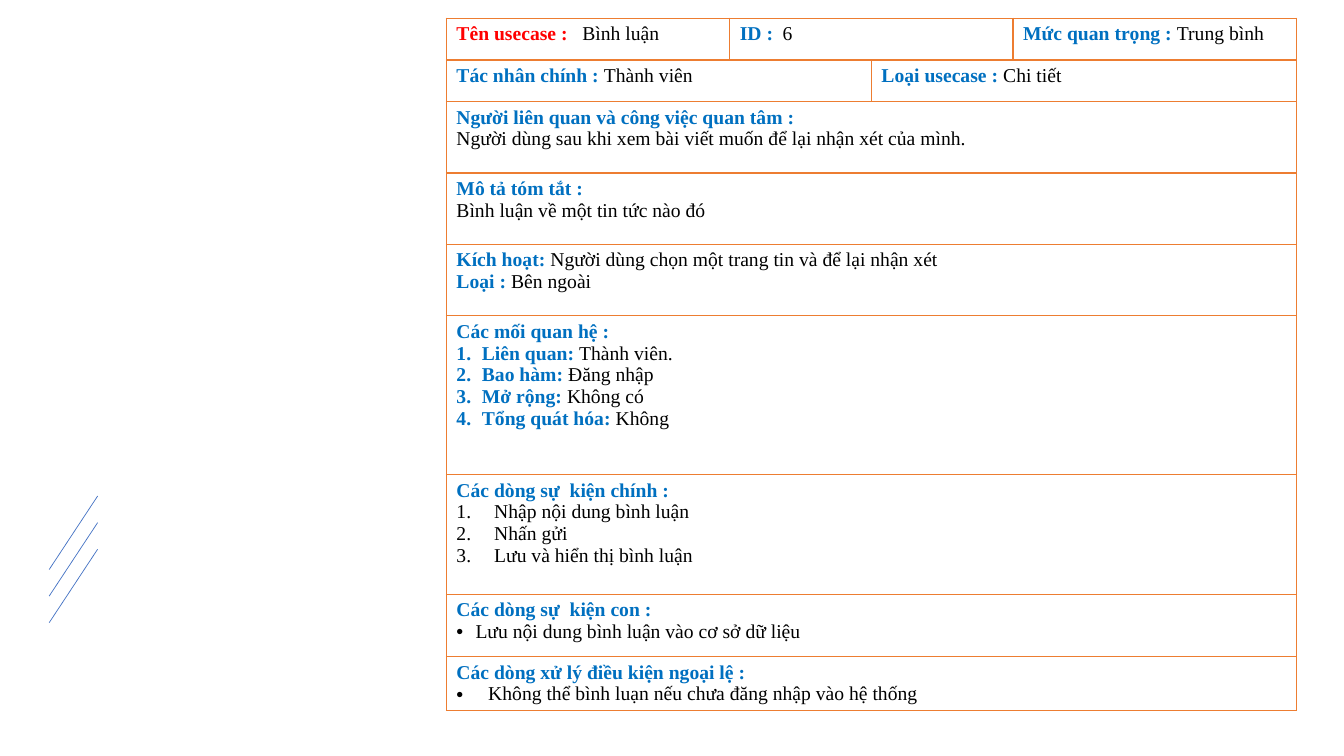
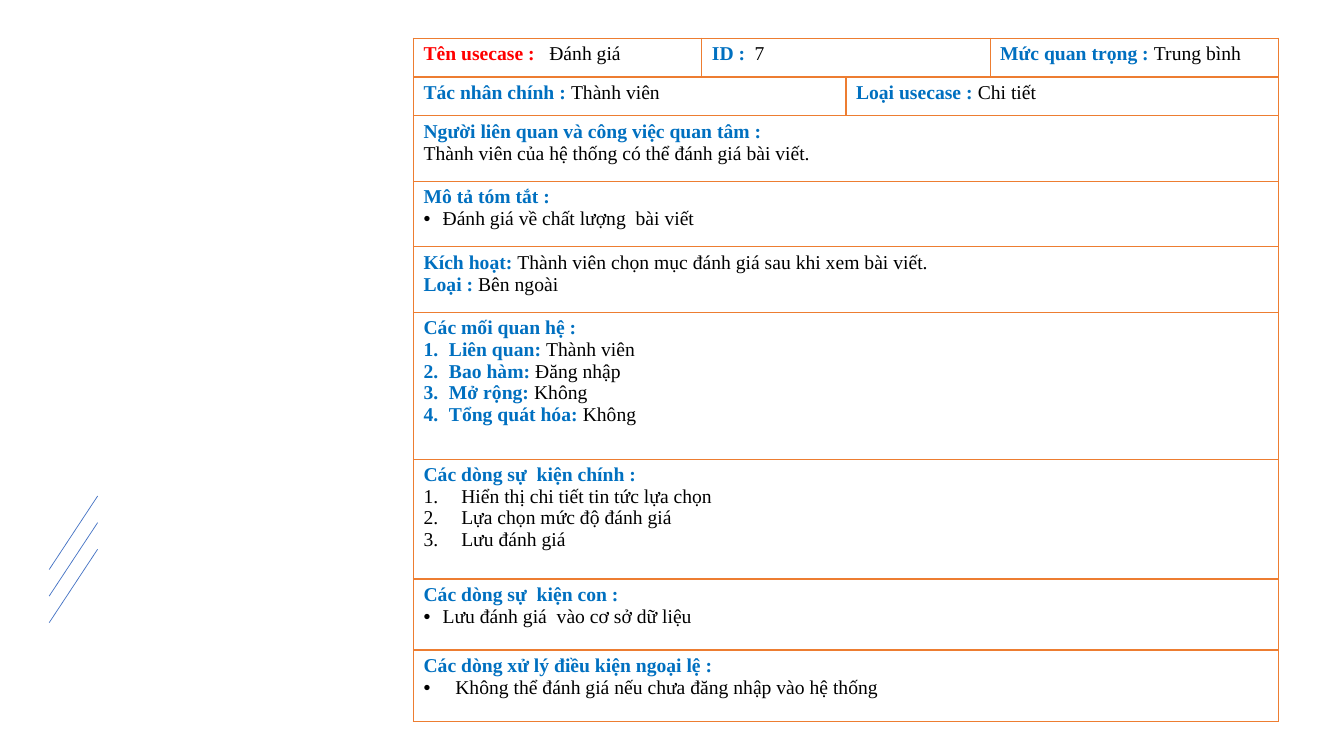
"""Build two use case specification slides, one bordered form table each."""
import pptx
import pptx.dml.color
import pptx.enum.shapes
import pptx.oxml
import pptx.oxml.ns
import pptx.util
from pptx.util import Cm

COLORS = {"name": "FF0000", "label": "0070C0", "text": "000000", "border": "ED7D31", "accent": "4472C4"}
TEXT_FORMAT = {"name": "Times New Roman", "size": pptx.util.Pt(14)}
BORDER_POINTS = 1
COLUMN_SHARES = (1 / 3, 1 / 6, 1 / 6, 1 / 3)
SPANS = [[(0, 0), (1, 2), (3, 3)], [(0, 1), (2, 3)]]
FULL_SPAN = [(0, 3)]

NUMBER = '<a:buFont {ns} typeface="+mj-lt"/>', '<a:buAutoNum {ns} type="arabicPeriod"/>'
DOT = '<a:buFont {ns} typeface="Arial"/>', '<a:buChar {ns} char="•"/>'
LISTS = {
    "relation": (0.64, NUMBER),
    "step": (0.95, NUMBER),
    "point": (0.48, DOT),
    "exception": (0.8, DOT),
}
TABS = {"Tên usecase :": 3.17, "ID :": 1.08}
RELATIONS = ("Liên quan:", "Bao hàm:", "Mở rộng:", "Tổng quát hóa:")

USE_CASES = [
    {
        "left": 11.25, "top": 0.46, "width": 21.42,
        "heights": (1.05, 1.05, 1.8, 1.8, 1.8, 4, 3.02, 1.57, 1.35),
        "name": "Bình luận", "id": "6",
        "interest": "Người dùng sau khi xem bài viết muốn để lại nhận xét của mình.",
        "summary": (None, "Bình luận về một tin tức nào đó"),
        "trigger": "Người dùng chọn một trang tin và để lại nhận xét",
        "relations": ("Thành viên.", "Đăng nhập", "Không có", "Không"),
        "steps": ("Nhập nội dung bình luận", "Nhấn gửi", "Lưu và hiển thị bình luận"),
        "subflow": "Lưu nội dung bình luận vào cơ sở dữ liệu",
        "exception": "Không thể bình luạn nếu chưa đăng nhập vào hệ thống",
    },
    {
        "left": 10.42, "top": 0.96, "width": 21.8,
        "heights": (0.98, 0.98, 1.65, 1.65, 1.65, 3.7, 3.02, 1.79, 1.81),
        "name": "Đánh giá", "id": "7",
        "interest": "Thành viên của hệ thống có thể đánh giá bài viết.",
        "summary": ("point", "Đánh giá về chất lượng  bài viết"),
        "trigger": "Thành viên chọn mục đánh giá sau khi xem bài viết.",
        "relations": ("Thành viên", "Đăng nhập", "Không", "Không"),
        "steps": ("Hiển thị chi tiết tin tức lựa chọn", "Lựa chọn mức độ đánh giá", "Lưu đánh giá"),
        "subflow": "Lưu đánh giá  vào cơ sở dữ liệu",
        "exception": "Không thể đánh giá nếu chưa đăng nhập vào hệ thống",
    },
]


def form_rows(case):
    """Return rows of cells; a cell lists (list style, label, value) paragraphs."""
    def field(label, value):
        return [(None, label, value)]

    def section(heading, *items):
        return [[(None, heading, ""), *items]]

    summary_style, summary = case["summary"]
    return [
        [field("Tên usecase :", case["name"]), field("ID :", case["id"]),
         field("Mức quan trọng :", "Trung bình")],
        [field("Tác nhân chính :", "Thành viên"), field("Loại usecase :", "Chi tiết")],
        section("Người liên quan và công việc quan tâm :", (None, "", case["interest"])),
        section("Mô tả tóm tắt :", (summary_style, "", summary)),
        [field("Kích hoạt:", case["trigger"]) + field("Loại :", "Bên ngoài")],
        section("Các mối quan hệ :",
                *(("relation", label, value) for label, value in zip(RELATIONS, case["relations"]))),
        section("Các dòng sự  kiện chính :", *(("step", "", step) for step in case["steps"])),
        section("Các dòng sự  kiện con :", ("point", "", case["subflow"])),
        section("Các dòng xử lý điều kiện ngoại lệ :", ("exception", "", case["exception"])),
    ]


def rgb(hex_color):
    """Return a colour from its hex string."""
    return pptx.dml.color.RGBColor.from_string(hex_color)


def xml(markup):
    """Parse drawing markup, filling in its namespace."""
    return pptx.oxml.parse_xml(markup.replace("{ns}", pptx.oxml.ns.nsdecls("a")))


def add_run(paragraph, text, color, bold):
    """Add a run in the form's typeface."""
    run = paragraph.add_run()
    run.text = text
    for attribute, value in {**TEXT_FORMAT, "bold": bold}.items():
        setattr(run.font, attribute, value)
    run.font.color.rgb = rgb(COLORS[color])


def write_paragraph(paragraph, style, label, value):
    """Write a label and value, with a list marker or tab stop if needed."""
    properties = paragraph._p.get_or_add_pPr()
    if style:
        indent, marker = LISTS[style]
        properties.set("marL", str(Cm(indent)))
        properties.set("indent", str(-Cm(indent)))
        for markup in marker:
            properties.append(xml(markup))
    if label in TABS:
        properties.append(xml(
            f'<a:tabLst {{ns}}><a:tab pos="{Cm(TABS[label])}" algn="l"/></a:tabLst>'))
    if label:
        gap = "\t" if label in TABS else " " if value else ""
        add_run(paragraph, label + gap, "name" if label == "Tên usecase :" else "label", True)
    if value:
        add_run(paragraph, value, "text", False)


def outline_cell(cell):
    """Clear the cell's fill and draw its four borders."""
    cell.fill.background()
    properties = cell._tc.get_or_add_tcPr()
    for position, side in enumerate("LRTB"):
        properties.insert(position, xml(
            f'<a:ln{side} {{ns}} w="{pptx.util.Pt(BORDER_POINTS)}"><a:solidFill>'
            f'<a:srgbClr val="{COLORS["border"]}"/></a:solidFill></a:ln{side}>'))


def add_form(slide, case):
    """Add the use case table."""
    heights = case["heights"]
    table = slide.shapes.add_table(
        len(heights), len(COLUMN_SHARES), Cm(case["left"]), Cm(case["top"]),
        Cm(case["width"]), Cm(sum(heights))).table
    table.first_row = table.horz_banding = False
    for column, share in zip(table.columns, COLUMN_SHARES):
        column.width = Cm(case["width"] * share)
    for row, height in zip(table.rows, heights):
        row.height = Cm(height)
    for cell in table.iter_cells():
        outline_cell(cell)
    for row_index, cells in enumerate(form_rows(case)):
        spans = SPANS[row_index] if row_index < len(SPANS) else FULL_SPAN
        for (first, last), paragraphs in zip(spans, cells):
            cell = table.cell(row_index, first)
            if last > first:
                cell.merge(table.cell(row_index, last))
            frame = cell.text_frame
            for index, content in enumerate(paragraphs):
                paragraph = frame.add_paragraph() if index else frame.paragraphs[0]
                write_paragraph(paragraph, *content)


def decorate_layout(layout, slide):
    """Put the three slanted accent lines on the shared layout."""
    for placeholder in list(layout.placeholders):
        placeholder.element.getparent().remove(placeholder.element)
    accents = slide.shapes.add_group_shape()
    for index in range(3):
        drop = 0.67 * index
        accent = accents.shapes.add_connector(
            pptx.enum.shapes.MSO_CONNECTOR.STRAIGHT,
            Cm(1.24), Cm(14.35 + drop), Cm(2.46), Cm(12.5 + drop))
        accent.line.color.rgb = rgb(COLORS["accent"])
        accent.line.width = pptx.util.Pt(0.5)
        accent.element.spPr.append(xml("<a:effectLst {ns}/>"))
    layout.shapes.element.append(accents.element)


def main():
    """Build and save the presentation."""
    presentation = pptx.Presentation()
    presentation.slide_width, presentation.slide_height = Cm(33.87), Cm(19.05)
    layout = presentation.slide_layouts[6]
    slides = [presentation.slides.add_slide(layout) for _ in USE_CASES]
    decorate_layout(layout, slides[0])
    for slide, case in zip(slides, USE_CASES):
        add_form(slide, case)
    presentation.save("out.pptx")


if __name__ == "__main__":
    main()
